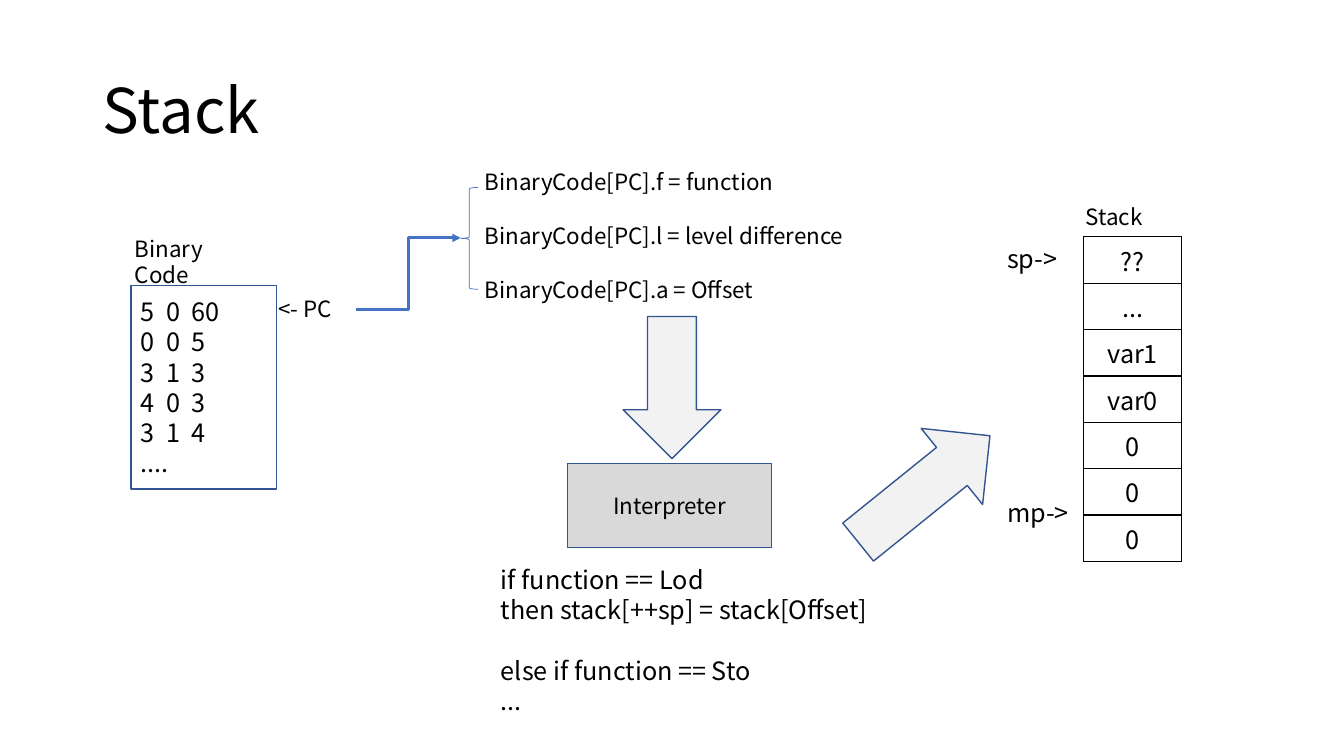
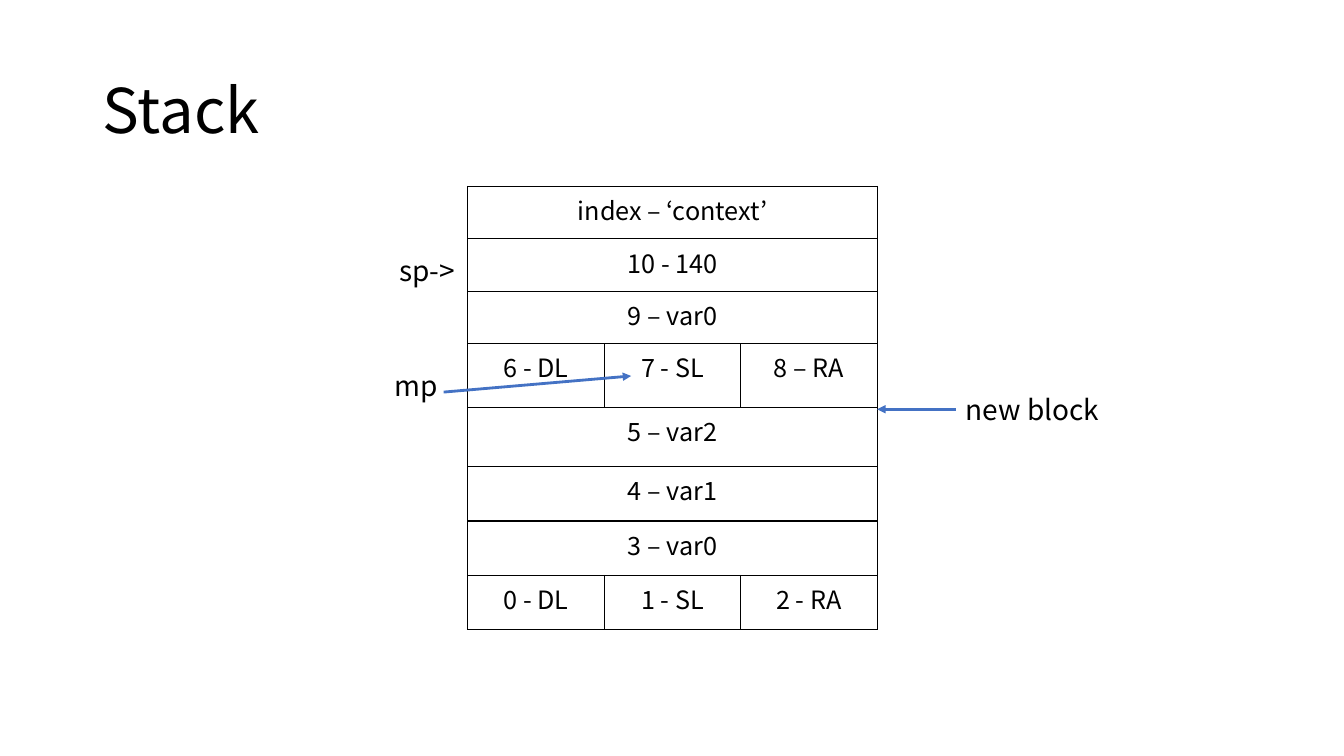
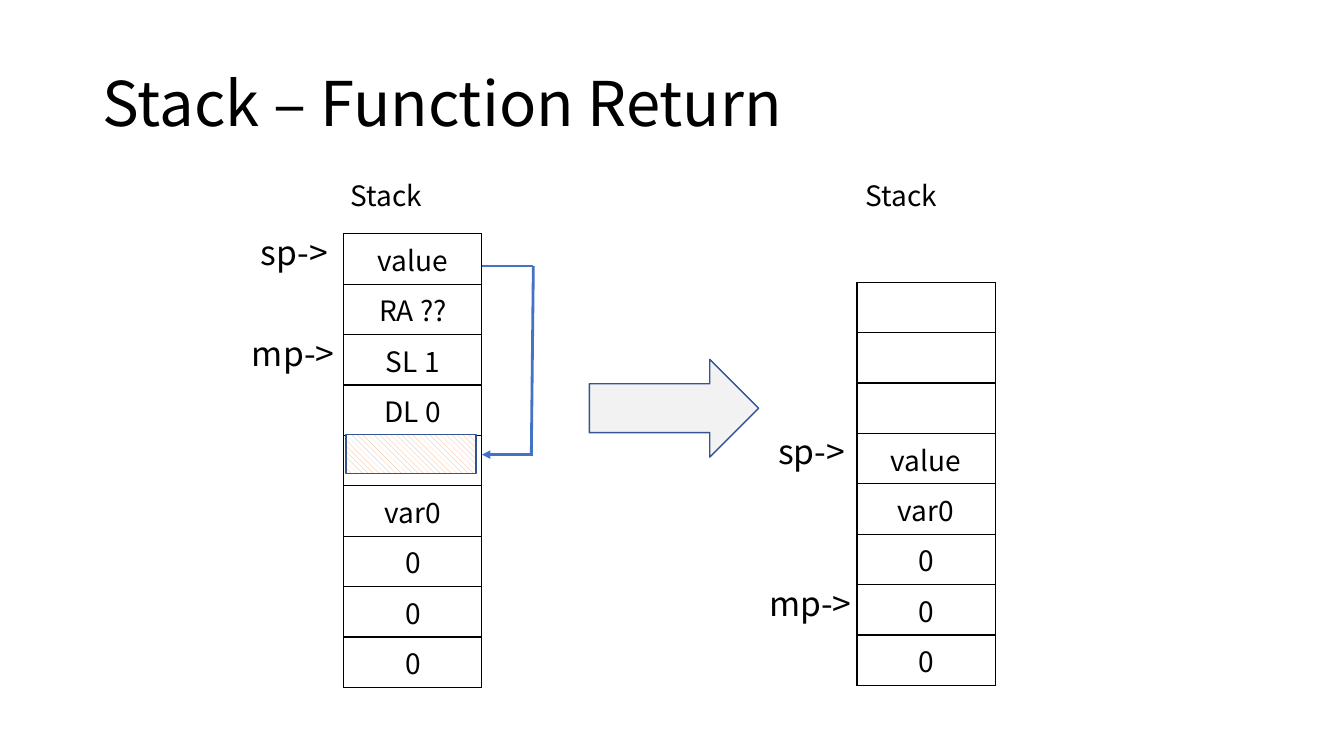
import dataclasses
import typing

import lxml.etree
import pptx
import pptx.dml.color
import pptx.enum.dml
import pptx.enum.shapes
import pptx.enum.text
import pptx.oxml.ns
import pptx.util

Inches = pptx.util.Inches
Pt = pptx.util.Pt
qn = pptx.oxml.ns.qn
Shapes = pptx.enum.shapes.MSO_SHAPE
Connectors = pptx.enum.shapes.MSO_CONNECTOR
Align = pptx.enum.text.PP_ALIGN
Anchor = pptx.enum.text.MSO_ANCHOR

FONT = "Noto Sans CJK KR"
BLACK = "000000"
WHITE = "FFFFFF"
BLUE = "4472C4"
NAVY = "325491"
PALE_GRAY = "F2F2F2"
GRAY = "D9D9D9"
PEACH = "F4B183"


@dataclasses.dataclass(frozen=True)
class Frame:
    left: float
    top: float
    width: float
    height: float

    def lengths(self) -> list[int]:
        return [Inches(value) for value in dataclasses.astuple(self)]


@dataclasses.dataclass(frozen=True)
class Label:
    text: str
    frame: Frame
    size: int


@dataclasses.dataclass(frozen=True)
class Line:
    start: tuple[float, float]
    end: tuple[float, float]
    arrow: bool = True
    kind: typing.Any = Connectors.STRAIGHT


@dataclasses.dataclass(frozen=True)
class StackTable:
    left: float
    top: float
    column_widths: list[float]
    row_heights: list[float]
    rows: list[list[str]]
    size: int


def color(value: str) -> pptx.dml.color.RGBColor:
    return pptx.dml.color.RGBColor.from_string(value)


def add_run(paragraph, text: str, size: int) -> None:
    run = paragraph.add_run()
    run.text = text
    run.font.name = FONT
    run.font.size = Pt(size)
    run.font.color.rgb = color(BLACK)


def write_lines(frame, lines: list[str], size: int, align=Align.LEFT,
                anchor=Anchor.MIDDLE, gaps: dict[int, float] = {}) -> None:
    frame.word_wrap = True
    frame.vertical_anchor = anchor
    for index, line in enumerate(lines):
        paragraph = frame.add_paragraph() if index else frame.paragraphs[0]
        paragraph.alignment = align
        if index in gaps:
            paragraph.space_before = Pt(gaps[index])
        add_run(paragraph, line, size)


def add_shape(slide, kind, frame: Frame, fill: str | None, line: str,
              line_width: float = 1, rotation: float = 0):
    shape = slide.shapes.add_shape(kind, *frame.lengths())
    shape.shadow.inherit = False
    shape.rotation = rotation
    if fill:
        shape.fill.solid()
        shape.fill.fore_color.rgb = color(fill)
    else:
        shape.fill.background()
    shape.line.color.rgb = color(line)
    shape.line.width = Pt(line_width)
    return shape


def add_block_arrow(slide, frame: Frame, rotation: float = 0) -> None:
    add_shape(slide, Shapes.DOWN_ARROW, frame, PALE_GRAY, NAVY, rotation=rotation)


def add_labels(slide, labels: list[Label]) -> None:
    for label in labels:
        shape = add_shape(slide, Shapes.RECTANGLE, label.frame, WHITE, WHITE)
        write_lines(shape.text_frame, [label.text], label.size)


def add_line(slide, line: Line) -> None:
    points = [Inches(value) for value in (*line.start, *line.end)]
    connector = slide.shapes.add_connector(line.kind, *points)
    connector.line.color.rgb = color(BLUE)
    connector.line.width = Pt(2)
    properties = connector._element.spPr
    if line.arrow:
        lxml.etree.SubElement(properties.find(qn("a:ln")), qn("a:tailEnd"), type="triangle")
    lxml.etree.SubElement(properties, qn("a:effectLst"))


def add_tab_stops(paragraph, positions: list[float]) -> None:
    tabs = lxml.etree.SubElement(paragraph._p.get_or_add_pPr(), qn("a:tabLst"))
    for position in positions:
        lxml.etree.SubElement(tabs, qn("a:tab"), pos=str(Inches(position)), algn="l")


def style_cell(cell) -> None:
    properties = cell._tc.get_or_add_tcPr()
    for side in ("lnL", "lnR", "lnT", "lnB"):
        border = lxml.etree.SubElement(properties, qn(f"a:{side}"), w=str(Pt(1)))
        fill = lxml.etree.SubElement(border, qn("a:solidFill"))
        lxml.etree.SubElement(fill, qn("a:srgbClr"), val=BLACK)
    cell.fill.background()


def add_stack(slide, stack: StackTable) -> None:
    frame = Frame(stack.left, stack.top, sum(stack.column_widths), sum(stack.row_heights))
    last_column = len(stack.column_widths) - 1
    table = slide.shapes.add_table(len(stack.rows), last_column + 1, *frame.lengths()).table
    table.first_row = False
    table.horz_banding = False
    for column, width in zip(table.columns, stack.column_widths):
        column.width = Inches(width)
    for row, height in zip(table.rows, stack.row_heights):
        row.height = Inches(height)
    for cell in table.iter_cells():
        style_cell(cell)
    for row_index, texts in enumerate(stack.rows):
        if len(texts) <= last_column:
            table.cell(row_index, 0).merge(table.cell(row_index, last_column))
        for column_index, text in enumerate(texts):
            if text:
                cell = table.cell(row_index, column_index)
                write_lines(cell.text_frame, [text], stack.size, Align.CENTER, Anchor.TOP)


def single_column(left: float, top: float, width: float, row_height: float,
                  texts: list[str], size: int) -> StackTable:
    return StackTable(left, top, [width], [row_height] * len(texts),
                      [[text] for text in texts], size)


def add_titled_slide(presentation, title: str, top: float = 0.4):
    slide = presentation.slides.add_slide(presentation.slide_layouts[6])
    box = slide.shapes.add_textbox(*Frame(0.92, top, 11.5, 1.45).lengths())
    write_lines(box.text_frame, [title], 44)
    box.text_frame.paragraphs[0].line_spacing = 0.9
    return slide


def build_interpreter_slide(presentation) -> None:
    slide = add_titled_slide(presentation, "Stack")
    add_labels(slide, [
        Label("Stack", Frame(10.67, 1.91, 0.97, 0.47), 16),
        Label("sp->", Frame(9.89, 2.33, 0.85, 0.47), 18),
        Label("<- PC", Frame(2.66, 2.83, 0.87, 0.47), 16),
        Label("Binary Code", Frame(1.24, 2.36, 1.44, 0.47), 16),
        Label("mp->", Frame(9.89, 4.85, 0.97, 0.47), 18),
    ])
    add_stack(slide, single_column(10.75, 2.35, 0.97, 0.46,
                                   ["??", "...", "var1", "var0", "0", "0", "0"], 18))

    code = add_shape(slide, Shapes.RECTANGLE, Frame(1.3, 2.83, 1.44, 2.02), WHITE, NAVY)
    write_lines(code.text_frame,
                ["5\t0\t60", "0\t0\t5", "3\t1\t3", "4\t0\t3", "3\t1\t4", "...."], 18)
    for paragraph in code.text_frame.paragraphs:
        add_tab_stops(paragraph, [0.25, 0.5])

    interpreter = add_shape(slide, Shapes.RECTANGLE, Frame(5.63, 4.6, 2.02, 0.83), GRAY, NAVY)
    write_lines(interpreter.text_frame, ["Interpreter"], 16, Align.CENTER)

    fields = add_shape(slide, Shapes.RECTANGLE, Frame(4.71, 1.58, 4.02, 1.51), WHITE, WHITE)
    write_lines(fields.text_frame,
                ["BinaryCode[PC].f = function", "BinaryCode[PC].l = level difference",
                 "BinaryCode[PC].a = Offset"], 16, gaps={1: 19.2, 2: 19.2})

    add_line(slide, Line((3.53, 3.07), (4.57, 2.36), kind=Connectors.ELBOW))
    add_shape(slide, Shapes.LEFT_BRACE, Frame(4.57, 1.86, 0.17, 1.01), None, BLUE, 0.5)
    add_block_arrow(slide, Frame(6.18, 3.14, 0.97, 1.41))

    rules = slide.shapes.add_textbox(*Frame(4.87, 5.55, 3.89, 1.62).lengths())
    write_lines(rules.text_frame,
                ["if function == Lod", "then stack[++sp] = stack[Offset]",
                 "else if function == Sto", "..."], 18, anchor=Anchor.TOP, gaps={2: 21.6})
    add_block_arrow(slide, Frame(8.68, 4.01, 0.97, 1.68), 231.1)


def build_context_slide(presentation) -> None:
    slide = add_titled_slide(presentation, "Stack")
    add_labels(slide, [
        Label("mp", Frame(3.81, 3.59, 0.85, 0.47), 20),
        Label("sp->", Frame(3.86, 2.45, 0.85, 0.47), 20),
    ])
    add_stack(slide, StackTable(
        4.64, 1.85, [4.06 / 3] * 3,
        [0.52, 0.52, 0.52, 0.63, 0.59, 0.54, 0.54, 0.54],
        [["index – ‘context’"], ["10 - 140"], ["9 – var0"],
         ["6 - DL", "7 - SL", "8 – RA"],
         ["5 – var2"], ["4 – var1"], ["3 – var0"],
         ["0 - DL", "1 - SL", "2 - RA"]], 18))
    add_line(slide, Line((4.4, 3.89), (6.26, 3.73)))
    add_labels(slide, [Label("new block", Frame(9.48, 3.81, 1.6, 0.5), 20)])
    add_line(slide, Line((9.48, 4.06), (8.7, 4.06)))


def build_return_slide(presentation) -> None:
    slide = add_titled_slide(presentation, "Stack – Function Return", 0.33)
    add_labels(slide, [
        Label("mp->", Frame(7.53, 5.75, 1.15, 0.47), 24),
        Label("Stack", Frame(8.49, 1.7, 0.97, 0.47), 20),
        Label("sp->", Frame(7.62, 4.24, 1.06, 0.47), 24),
        Label("mp->", Frame(2.4, 3.27, 1.15, 0.47), 24),
        Label("Stack", Frame(3.38, 1.7, 0.97, 0.47), 20),
        Label("sp->", Frame(2.49, 2.27, 1.06, 0.47), 24),
    ])
    base = ["var0", "0", "0", "0"]
    add_stack(slide, single_column(8.5, 2.8, 1.37, 0.5, ["", "", "", "value", *base], 20))
    add_stack(slide, single_column(3.41, 2.32, 1.37, 0.5,
                                   ["value", "RA ??", "SL 1", "DL 0", "", *base], 20))
    add_block_arrow(slide, Frame(6.2, 3.21, 0.97, 1.68), 270)

    result = add_shape(slide, Shapes.RECTANGLE, Frame(3.43, 4.31, 1.29, 0.39), WHITE, NAVY)
    result.fill.patterned()
    result.fill.pattern = pptx.enum.dml.MSO_PATTERN.WIDE_DOWNWARD_DIAGONAL
    result.fill.fore_color.rgb = color(PEACH)
    result.fill.back_color.rgb = color(WHITE)

    for line in (Line((5.29, 4.51), (4.78, 4.51)),
                 Line((4.78, 2.64), (5.29, 2.64), arrow=False),
                 Line((5.29, 2.64), (5.27, 4.51), arrow=False)):
        add_line(slide, line)


def main() -> None:
    presentation = pptx.Presentation()
    presentation.slide_width = Inches(13.33)
    presentation.slide_height = Inches(7.5)
    build_interpreter_slide(presentation)
    build_context_slide(presentation)
    build_return_slide(presentation)
    presentation.save("out.pptx")


if __name__ == "__main__":
    main()
